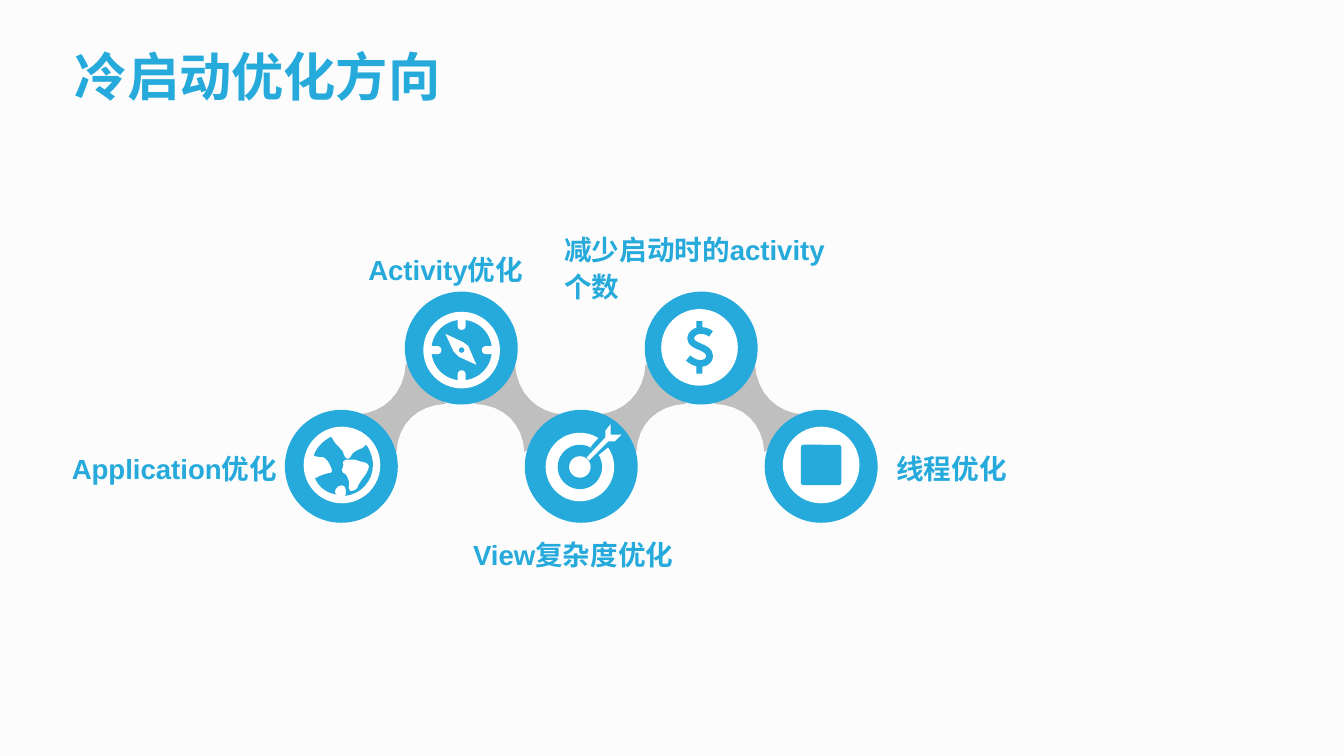
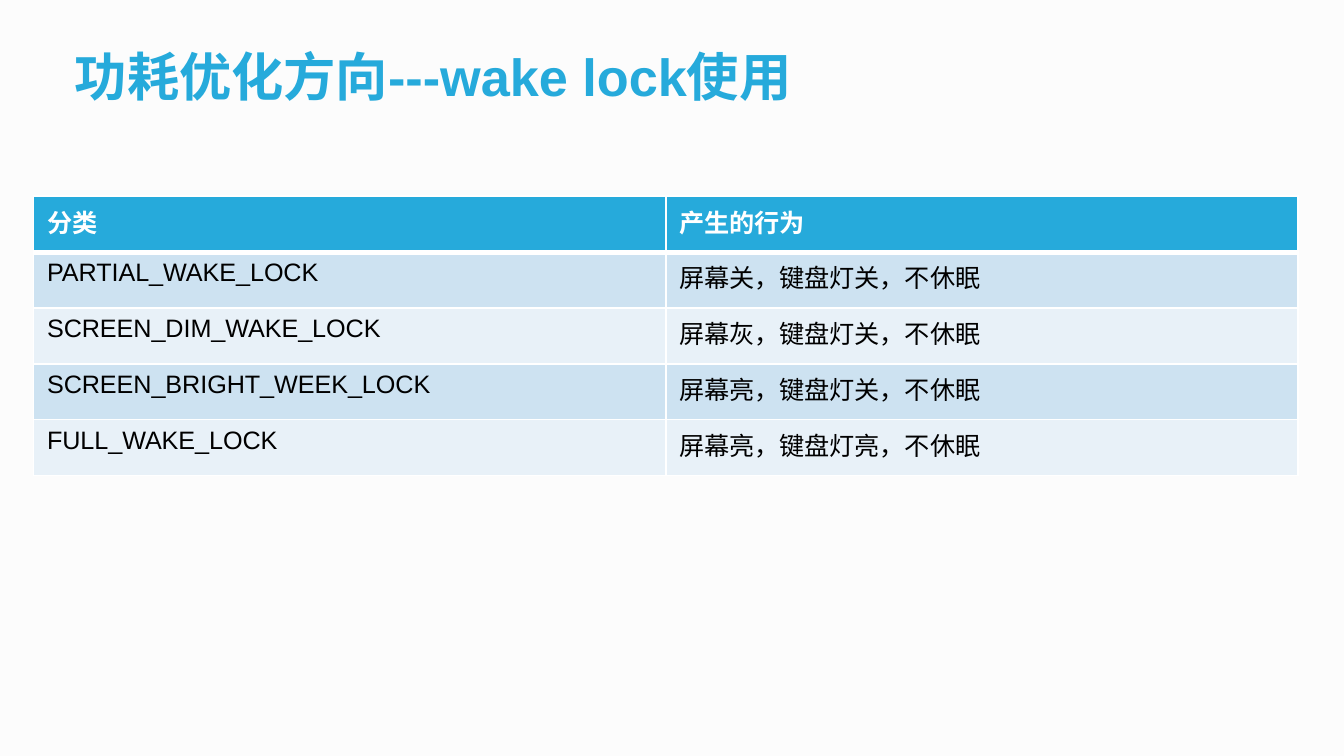
"""Build two slides on start-up and power tuning."""
import pptx
import pptx.util
import pptx.dml.color
import pptx.enum.shapes
import pptx.enum.text
import pptx.oxml.ns
from lxml import etree

HUES = {"paper": "FCFCFC", "blue": "26AADB", "grey": "BFBFBF", "white": "FFFFFF",
        "black": "000000", "band": "CDE2F1", "pale": "E8F1F8"}
FONT = "Arial"
WIDE, HIGH = 1000, 562.5
CELL = pptx.util.Inches(10) / WIDE
KIND = pptx.enum.shapes.MSO_SHAPE
ALIGN = pptx.enum.text.PP_ALIGN

STEP, LOW, TOP = 89.25, 347, 259
LINK = [(34, -3), (4, -33), (3, -11, -12, 4, -33, 5), (-3, 33),
        (-2, 12, 12, -2, 34, -3)]
SEA = [(2, 23), (3, 22), (3, 20, 3, 18, 2, 16), (1, 15, -1, 15, -3, 16),
       (-5, 18, -6, 20, -5, 21), (-4, 22), (-11, 21, -17, 17, -20, 10), (-18, 9),
       (-14, 7, -10, 6, -9, 6), (-7, 6, -7, 3, -9, 0), (-10, -3, -13, -6, -15, -6),
       (-17, -6, -19, -6, -21, -7), (-19, -13, -14, -18, -8, -21),
       (-7, -19, -5, -16, -4, -15), (-2, -13, 0, -11, 1, -9), (1, -8, 2, -6, 3, -5),
       (5, -4, 6, -5, 7, -7), (8, -9, 11, -11, 14, -12), (16, -13, 17, -14, 18, -15),
       (21, -11, 23, -5, 23, 0), (23, 12, 14, 22, 2, 23)]
LAND = [(16, -2), (13, -3, 11, -3, 10, -4), (9, -4, 6, -4, 4, -4),
        (2, -4, 0, -2, 1, -1), (1, 0, 1, 2, 0, 3), (0, 3, 0, 5, 1, 6),
        (2, 6, 4, 8, 4, 9), (5, 11, 6, 14, 5, 16), (5, 19, 7, 20, 8, 19),
        (10, 19, 12, 17, 12, 15), (13, 14, 15, 10, 17, 8), (19, 5, 20, 2, 20, 1),
        (20, 0, 18, -2, 16, -2)]
NEEDLE = [(1, -6), (-12, -12), (-6, 1), (-2, 5), (11, 11), (5, -3)]
SLOT = [(8, -15), (16, -24), (24, -17), (14, -9)]
DART = [(7, -5), (21, -19), (26, -19), (31, -24), (23, -24), (23, -32),
        (19, -27), (19, -22), (5, -7)]
CURVE = [(8.5, -10), (6, -12, 3, -12.5, 1, -12.5), (-3, -12.5, -6.5, -10, -6.5, -6.5),
         (-6.5, 0, 7.5, -1, 7.5, 6.5), (7.5, 10, 4, 12, 1, 12), (-3, 12, -6, 10, -8.5, 8)]

LABELS = [("Application优化", 21, 333, 16, ALIGN.RIGHT),
          ("减少启动时的activity个数", 420, 184, 0, ALIGN.LEFT),
          ("Activity优化", 274, 185, 0, ALIGN.LEFT),
          ("线程优化", 667, 333, 0, ALIGN.LEFT),
          ("View复杂度优化", 352, 397, 0, ALIGN.LEFT)]
ROWS = [("分类", "产生的行为"),
        ("PARTIAL_WAKE_LOCK", "屏幕关，键盘灯关，不休眠"),
        ("SCREEN_DIM_WAKE_LOCK", "屏幕灰，键盘灯关，不休眠"),
        ("SCREEN_BRIGHT_WEEK_LOCK", "屏幕亮，键盘灯关，不休眠"),
        ("FULL_WAKE_LOCK", "屏幕亮，键盘灯亮，不休眠")]


def emu(cells):
    """Turn grid cells into a length."""
    return pptx.util.Emu(round(cells * CELL))


def rgb(hue):
    """Look up a colour."""
    return pptx.dml.color.RGBColor.from_string(HUES[hue])


def paint(shape, hue):
    """Fill a shape plainly, with no line."""
    shape.shadow.inherit = False
    shape.fill.solid()
    shape.fill.fore_color.rgb = rgb(hue)
    shape.line.fill.background()


def write(para, text, size, hue, bold):
    """Add one styled run."""
    run = para.add_run()
    run.text = text
    font = run.font
    font.name, font.size, font.bold = FONT, pptx.util.Pt(size), bold
    font.color.rgb = rgb(hue)


def block(slide, kind, x, y, wide, high, hue):
    """Draw a preset shape about a centre."""
    shape = slide.shapes.add_shape(kind, emu(x - wide / 2), emu(y - high / 2),
                                   emu(wide), emu(high))
    paint(shape, hue)
    return shape


def disc(slide, x, y, size, hue):
    """Draw a circle about a centre."""
    block(slide, KIND.OVAL, x, y, size, size, hue)


def trace(steps):
    """Turn lines and cubic curves into points."""
    dots = [steps[0]]
    for step in steps[1:]:
        if len(step) == 2:
            dots.append(step)
            continue
        knots = [dots[-1], step[:2], step[2:4], step[4:]]
        for part in range(1, 9):
            t = part / 8
            mix = ((1 - t) ** 3, 3 * t * (1 - t) ** 2, 3 * t * t * (1 - t), t ** 3)
            dots.append(tuple(sum(m * k[axis] for m, k in zip(mix, knots))
                              for axis in (0, 1)))
    return dots


def form(slide, steps, x, y, hue, flip=1, pen=0):
    """Draw an outline, or an open stroke when pen is set."""
    dots = [(emu(x + flip * a), emu(y + b)) for a, b in trace(steps)]
    maker = slide.shapes.build_freeform(*dots[0])
    maker.add_line_segments(dots[1:], close=not pen)
    shape = maker.convert_to_shape()
    paint(shape, hue)
    if pen:
        shape.fill.background()
        shape.line.color.rgb = rgb(hue)
        shape.line.width = pptx.util.Pt(pen)


def globe(slide, x, y):
    """Draw the globe."""
    disc(slide, x, y, 57, "white")
    form(slide, SEA, x, y, "blue")
    form(slide, LAND, x, y, "white")


def compass(slide, x, y):
    """Draw the compass."""
    disc(slide, x, y, 57, "white")
    disc(slide, x, y, 45, "blue")
    for dx, dy in ((0, -1), (1, 0), (0, 1), (-1, 0)):
        tick = block(slide, KIND.ROUNDED_RECTANGLE, x + 20 * dx, y + 20 * dy,
                     6 + 4 * abs(dx), 6 + 4 * abs(dy), "white")
        tick.adjustments[0] = 0.5
    form(slide, NEEDLE, x, y, "white")
    disc(slide, x, y, 4, "blue")


def target(slide, x, y):
    """Draw the target and its dart."""
    disc(slide, x, y, 51, "white")
    disc(slide, x, y, 33, "blue")
    form(slide, SLOT, x, y, "blue")
    disc(slide, x, y, 16, "white")
    form(slide, DART, x, y, "white")


def dollar(slide, x, y):
    """Draw the coin."""
    disc(slide, x, y, 57, "white")
    form(slide, CURVE, x, y, "blue", pen=3.6)
    for side in (-1, 1):
        block(slide, KIND.RECTANGLE, x, y + 16 * side, 4.5, 7, "blue")


def badge(slide, x, y):
    """Draw a plain badge."""
    disc(slide, x, y, 57, "white")
    block(slide, KIND.ROUNDED_RECTANGLE, x, y, 30, 30, "blue").adjustments[0] = 0.06


def title(slide, text, wide):
    """Add the slide title."""
    box = slide.shapes.add_textbox(emu(46), emu(19), emu(wide), emu(66))
    frame = box.text_frame
    frame.word_wrap = True
    frame.auto_size = pptx.enum.text.MSO_AUTO_SIZE.SHAPE_TO_FIT_TEXT
    frame.paragraphs[0].line_spacing = 1.2
    write(frame.paragraphs[0], text, 28, "blue", True)


def label(slide, text, x, y, inset, align):
    """Add the name of one step."""
    box = slide.shapes.add_textbox(emu(x), emu(y), emu(201), emu(28))
    frame = box.text_frame
    frame.word_wrap = False
    frame.vertical_anchor = pptx.enum.text.MSO_ANCHOR.MIDDLE
    frame.margin_left = frame.margin_right = emu(inset)
    frame.margin_top = frame.margin_bottom = 0
    para = frame.paragraphs[0]
    para.alignment, para.line_spacing = align, 1.1
    write(para, text, 14.8, "blue", True)


def chain(slide):
    """Draw the linked circles with their icons."""
    for i in range(4):
        form(slide, LINK, 298 + STEP * i, 303.5, "grey", flip=(-1) ** i)
    for i in range(5):
        disc(slide, 254 + STEP * i, TOP if i % 2 else LOW, 84, "blue")
    globe(slide, 254.5, 346)
    compass(slide, 343.5, 260.5)
    target(slide, 431.5, 347.5)
    dollar(slide, 520.5, 258.5)
    badge(slide, 611, 346)


def edge(cell, side, width):
    """Give a cell side a white border."""
    line = etree.Element(pptx.oxml.ns.qn("a:" + side), w=str(pptx.util.Pt(width)))
    fill = etree.SubElement(line, pptx.oxml.ns.qn("a:solidFill"))
    etree.SubElement(fill, pptx.oxml.ns.qn("a:srgbClr"), val=HUES["white"])
    return line


def grid(slide):
    """Add the table of lock types."""
    frame = slide.shapes.add_table(len(ROWS), 2, emu(25), emu(146), emu(941), emu(208))
    table = frame.table
    for r, row in enumerate(ROWS):
        table.rows[r].height = emu(208 / len(ROWS))
        for c, text in enumerate(row):
            cell = table.cell(r, c)
            cell.fill.solid()
            cell.fill.fore_color.rgb = rgb("blue" if r == 0 else ("pale", "band")[r % 2])
            for spot, side in enumerate(("lnL", "lnR", "lnT", "lnB")):
                thick = (side, r) in (("lnB", 0), ("lnT", 1))
                props = cell._tc.get_or_add_tcPr()
                props.insert(spot, edge(cell, side, 3 if thick else 1))
            write(cell.text_frame.paragraphs[0], text, 13.5,
                  "black" if r else "white", r == 0)


def main():
    """Build and save the deck."""
    deck = pptx.Presentation()
    deck.slide_width, deck.slide_height = emu(WIDE), emu(HIGH)
    back = deck.slide_master.background.fill
    back.solid()
    back.fore_color.rgb = rgb("paper")
    blank = deck.slide_layouts[6]
    start = deck.slides.add_slide(blank)
    title(start, "冷启动优化方向", 520)
    chain(start)
    for item in LABELS:
        label(start, *item)
    power = deck.slides.add_slide(blank)
    title(power, "功耗优化方向---wake lock使用", 834)
    grid(power)
    deck.save("out.pptx")


if __name__ == "__main__":
    main()
